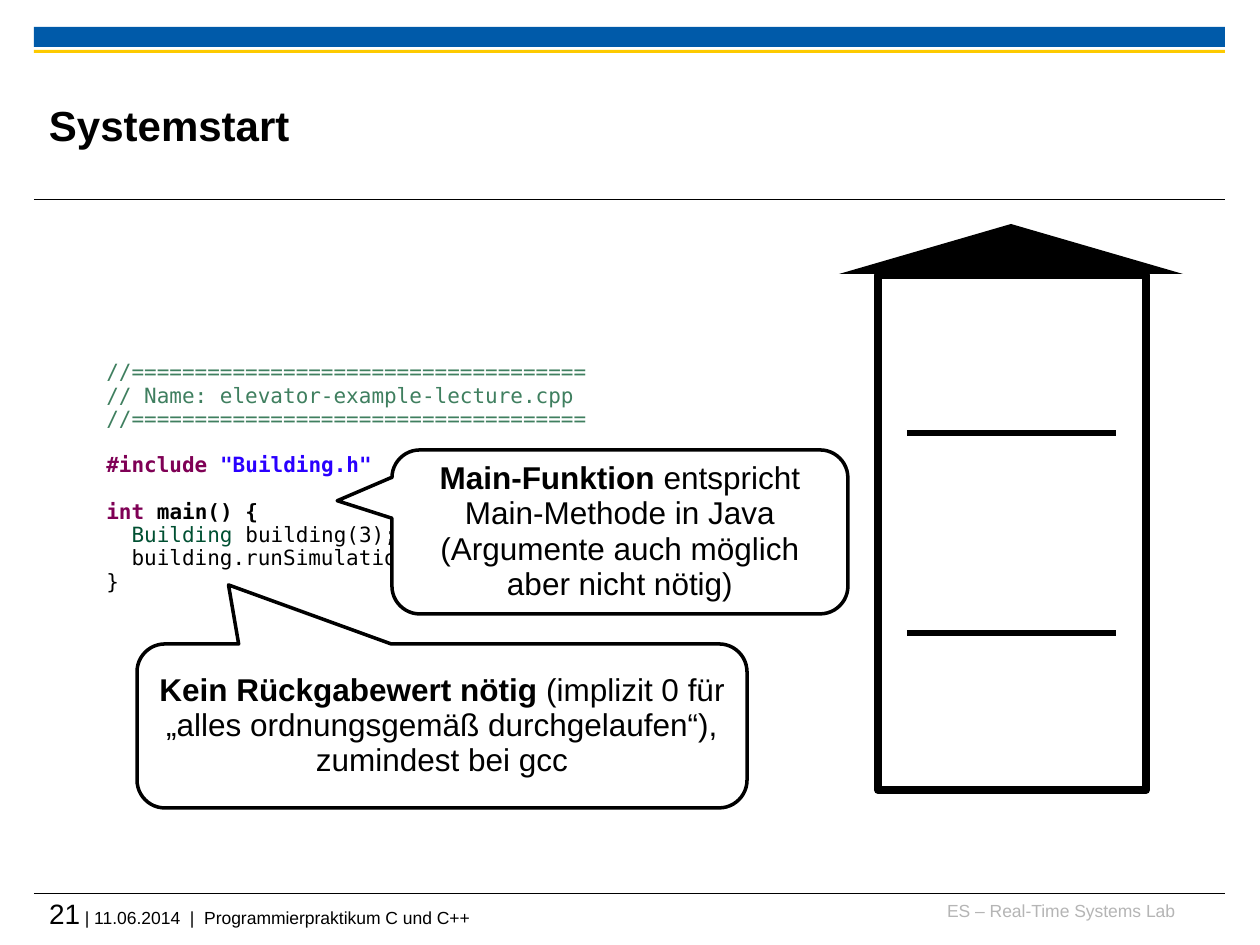
from dataclasses import dataclass

from pptx import Presentation
from pptx.dml.color import RGBColor
from pptx.enum.shapes import MSO_CONNECTOR, MSO_SHAPE
from pptx.enum.text import MSO_ANCHOR, PP_ALIGN
from pptx.oxml.ns import qn
from pptx.util import Emu, Pt

LEFT, CENTER, RIGHT = PP_ALIGN.LEFT, PP_ALIGN.CENTER, PP_ALIGN.RIGHT
TOP, MIDDLE = MSO_ANCHOR.TOP, MSO_ANCHOR.MIDDLE
RECT, ROUNDED = MSO_SHAPE.RECTANGLE, MSO_SHAPE.ROUNDED_RECTANGLE
TRIANGLE, CALLOUT = MSO_SHAPE.ISOSCELES_TRIANGLE, MSO_SHAPE.ROUNDED_RECTANGULAR_CALLOUT
STRAIGHT = MSO_CONNECTOR.STRAIGHT
PX = 914400 / 126


@dataclass(frozen=True)
class Theme:
    black: str = "000000"
    white: str = "FFFFFF"
    blue: str = "005AA9"
    yellow: str = "FDCA00"
    grey: str = "B5B5B5"
    comment: str = "3F7F5F"
    keyword: str = "7F0055"
    string: str = "2A00FF"
    type_name: str = "005032"
    sans: str = "Arial"
    mono: str = "DejaVu Sans Mono"
    title: int = 24
    callout: int = 18
    number: int = 16
    code: int = 12
    small: int = 10
    spacing: float = 0.93
    blank_line: int = 13


T = Theme()

# A run is (text, format); a paragraph is a list of runs.
SANS = {"name": T.sans, "color": T.black, "bold": False}
SMALL = {**SANS, "size": T.small}
TITLE = {**SANS, "size": T.title, "bold": True}
CALL = {**SANS, "size": T.callout}
CALL_BOLD = {**CALL, "bold": True}
CODE = {**SANS, "name": T.mono, "size": T.code}
CODE_BOLD = {**CODE, "bold": True}
COMMENT = {**CODE, "color": T.comment}
KEYWORD = {**CODE_BOLD, "color": T.keyword}
RULE = "//" + "=" * 36

LABELS = [  # box, runs, alignment, anchor
    ((927, 900, 248, 32), [("ES – Real-Time Systems Lab", {**SMALL, "color": T.grey})],
     RIGHT, TOP),
    ((49, 897, 1176, 42),
     [("21", {**SMALL, "size": T.number}),
      (" | 11.06.2014  |  Programmierpraktikum C und C++", SMALL)], LEFT, TOP),
    ((49, 67, 948, 116), [("Systemstart", TITLE)], LEFT, MIDDLE),
]

CODE_BOX = (94, 355, 630, 250)
CODE_BLOCKS = [  # blocks of lines, one line of space between them
    [[(RULE, COMMENT)],
     [("// Name: elevator-example-lecture.cpp", COMMENT)],
     [(RULE, COMMENT)]],
    [[("#include ", KEYWORD), ('"Building.h"', {**KEYWORD, "color": T.string})]],
    [[("int", KEYWORD), (" main() {", CODE_BOLD)],
     [("  Building", {**CODE, "color": T.type_name}), (" building(3);", CODE)],
     [("  building.runSimulation();", CODE)],
     [("}", CODE)]],
]

CALLOUTS = [  # box, adjustments, runs
    ((392, 450, 456, 164), (-0.62, -0.19, 0.17),
     [("Main-Funktion", CALL_BOLD),
      (" entspricht Main-Methode in Java (Argumente auch möglich aber nicht nötig)", CALL)]),
    ((137, 644, 610, 164), (-0.35, -0.86, 0.17),
     [("Kein Rückgabewert nötig", CALL_BOLD),
      (" (implizit 0 für „alles ordnungsgemäß durchgelaufen“), zumindest bei gcc", CALL)]),
]

BARS = [((34, 27, 1191, 20), T.blue), ((34, 50, 1191, 3), T.yellow)]
RULES_Y = (200, 894)
RULE_X = (34, 1225)
HOUSE = (878, 275, 268, 515)
ROOF = (839, 224, 344, 50)
FLOORS_Y = (433, 633)
FLOOR_X = (907, 1116)


def px(*values):
    return [Emu(round(v * PX)) for v in values]


def add_shape(slide, kind, box, fill, line_pt=0, adjustments=()):
    sp = slide.shapes.add_shape(kind, *px(*box))
    sp.shadow.inherit = False
    sp.fill.solid()
    sp.fill.fore_color.rgb = RGBColor.from_string(fill)
    if line_pt:
        sp.line.color.rgb = RGBColor.from_string(T.black)
        sp.line.width = Pt(line_pt)
    else:
        sp.line.fill.background()
    for i, value in enumerate(adjustments):
        sp.adjustments[i] = value
    return sp


def add_level_line(slide, ends, y, width):
    line = slide.shapes.add_connector(STRAIGHT, *px(ends[0], y, ends[1], y))
    line.line.color.rgb = RGBColor.from_string(T.black)
    line.line.width = Pt(width)
    sp_pr = line._element.spPr
    sp_pr.append(sp_pr.makeelement(qn("a:effectLst"), {}))


def write_runs(p, runs, align=LEFT, spacing=None):
    p.alignment = align
    if spacing:
        p.line_spacing = spacing
    for text, style in runs:
        r = p.add_run()
        r.text = text
        for key, value in style.items():
            if key == "color":
                r.font.color.rgb = RGBColor.from_string(value)
            else:
                setattr(r.font, key, Pt(value) if key == "size" else value)


def add_text_frame(slide, box, anchor=TOP):
    tf = slide.shapes.add_textbox(*px(*box)).text_frame
    tf.word_wrap = True
    tf.vertical_anchor = anchor
    return tf


def add_label(slide, box, runs, align, anchor):
    tf = add_text_frame(slide, box, anchor)
    for side in ("left", "top", "right", "bottom"):
        setattr(tf, f"margin_{side}", 0)
    write_runs(tf.paragraphs[0], runs, align)


def add_code(slide):
    tf = add_text_frame(slide, CODE_BOX)
    p = tf.paragraphs[0]
    for b, block in enumerate(CODE_BLOCKS):
        for i, runs in enumerate(block):
            if b or i:
                p = tf.add_paragraph()
            if b and i == 0:
                p.space_before = Pt(T.blank_line)
            write_runs(p, runs, spacing=T.spacing)


def add_callout(slide, box, adjustments, runs):
    tf = add_shape(slide, CALLOUT, box, T.white, 2, adjustments).text_frame
    tf.word_wrap = True
    tf.vertical_anchor = MIDDLE
    write_runs(tf.paragraphs[0], runs, CENTER, T.spacing)


def main():
    prs = Presentation()
    prs.slide_width, prs.slide_height = px(1260, 945)
    slide = prs.slides.add_slide(prs.slide_layouts[6])

    for box, color in BARS:
        add_shape(slide, RECT, box, color)
    for y in RULES_Y:
        add_level_line(slide, RULE_X, y, 0.6)
    for label in LABELS:
        add_label(slide, *label)
    add_code(slide)
    add_shape(slide, ROUNDED, HOUSE, T.white, 4.5, (0,))
    for y in FLOORS_Y:
        add_level_line(slide, FLOOR_X, y, 3)
    for callout in CALLOUTS:
        add_callout(slide, *callout)
    add_shape(slide, TRIANGLE, ROOF, T.black)

    prs.save("out.pptx")


if __name__ == "__main__":
    main()
